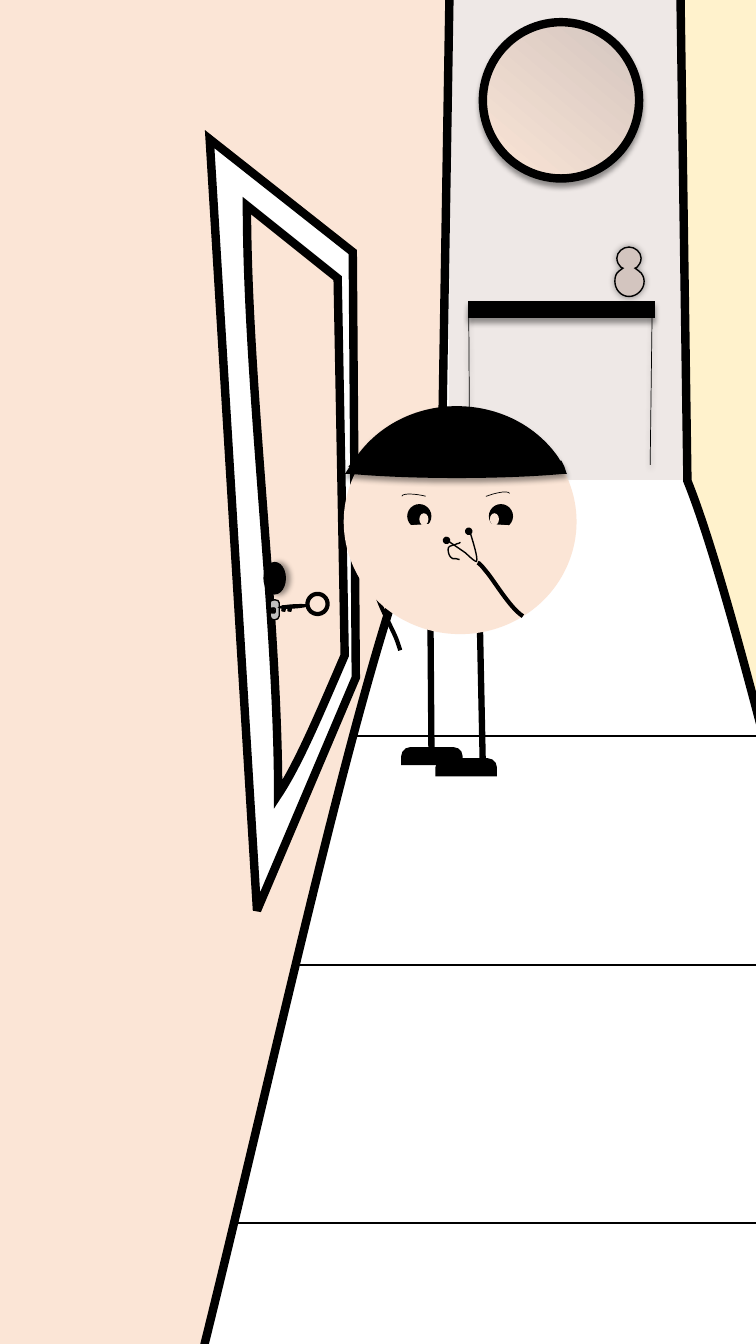
from math import cos, radians, sin

from lxml.etree import SubElement
from pptx import Presentation
from pptx.dml.color import RGBColor
from pptx.enum.shapes import MSO_CONNECTOR, MSO_SHAPE
from pptx.oxml.ns import qn
from pptx.util import Inches, Pt

COLORS = {
    "black": "000000", "white": "FFFFFF", "skin": "FBE5D6", "cream": "FFF2CC",
    "stone": "EEE8E6", "clay": "D3C5BF", "steel": "BFBFBF",
}
CAST = (4, 3, 90)
TAGS = {2: "a:lnTo", 6: "a:cubicBezTo"}


def color(name):
    return RGBColor.from_string(COLORS[name])


def stroke(item, width):
    item.line.color.rgb = color("black")
    item.line.width = Pt(width)
    SubElement(item._element.spPr.find(qn("a:ln")), qn("a:miter"), lim="800000")


def shade(item, shadow):
    effects = SubElement(item._element.spPr, qn("a:effectLst"))
    if shadow:
        blur, dist, angle = shadow
        outer = SubElement(effects, qn("a:outerShdw"), blurRad=str(Pt(blur)),
                           dist=str(Pt(dist)), dir=str(angle * 60000),
                           algn="ctr", rotWithShape="0")
        tint = SubElement(outer, qn("a:srgbClr"), val=COLORS["black"])
        SubElement(tint, qn("a:alpha"), val="40000")


def style(item, fill=None, width=None, shadow=None):
    if fill:
        item.fill.solid()
        item.fill.fore_color.rgb = color(fill)
    else:
        item.fill.background()
    if width:
        stroke(item, width)
    else:
        item.line.fill.background()
    shade(item, shadow)


def form(group, kind, x, y, w, h, turn=0, **look):
    item = group.shapes.add_shape(kind, *map(Inches, (x, y, w, h)))
    item.rotation = turn
    style(item, **look)
    return item


def oval(group, *box, **look):
    return form(group, MSO_SHAPE.OVAL, *box, **look)


def rule(group, x1, y1, x2, y2, width, shadow=None):
    item = group.shapes.add_connector(
        MSO_CONNECTOR.STRAIGHT, *map(Inches, (x1, y1, x2, y2)))
    stroke(item, width)
    shade(item, shadow)


def pairs(step):
    return list(zip(step[0::2], step[1::2]))


def spin(step, turn, x, y):
    c, s = cos(radians(turn)), sin(radians(turn))
    return [value for px, py in pairs(step)
            for value in (x + (px - x) * c + (py - y) * s,
                          y + (py - y) * c - (px - x) * s)]


def trace(steps):
    points = [tuple(steps[0])]
    for step in steps[1:]:
        ends = [points[-1], *pairs(step)]
        if len(step) == 6:
            for n in range(1, 20):
                t = n / 20
                parts = ((1 - t)**3, 3 * t * (1 - t)**2, 3 * t * t * (1 - t), t**3)
                points.append(tuple(sum(p * e[i] for p, e in zip(parts, ends))
                                    for i in (0, 1)))
        points.append(ends[-1])
    return points


def draw(group, *paths, fill=None, turn=0, hub=(0, 0), **look):
    paths = [[[Inches(v) for v in spin(step, turn, *hub)] for step in steps]
             for steps in paths]
    points = [point for steps in paths for point in trace(steps)]
    pen = group.shapes.build_freeform(*points[0], scale=1.0)
    pen.add_line_segments(points[1:], close=False)
    item = pen.convert_to_shape()
    route = next(item._element.iter(qn("a:path")))
    for node in list(route):
        route.remove(node)
    for steps in paths:
        for n, step in enumerate(steps):
            node = SubElement(route, qn(TAGS[len(step)] if n else "a:moveTo"))
            for x, y in pairs(step):
                SubElement(node, qn("a:pt"), x=str(x - item.left), y=str(y - item.top))
        if fill:
            SubElement(route, qn("a:close"))
    item.rotation = turn
    style(item, fill=fill, **look)


def floor(hall):
    for x, y, w in ((1.99, 4.74, 6.79), (1.45, 7.3, 7.51),
                    (1.07, 9.57, 8.65), (0.31, 12.13, 9.75)):
        form(hall, MSO_SHAPE.RECTANGLE, x, y, w, 2.57, fill="white", width=1)


def walls(hall):
    draw(hall, [(4.47, 0), (6.95, 0), (6.95, 4.76), (4.45, 4.76), (4.47, 0)],
         fill="stone")
    draw(hall, [(10.38, -1.41), (6.75, -0.1), (6.82, 4.77),
                (7.64, 6.8, 9.46, 15.83, 10.4, 17.2),
                (10.97, 17.7, 13.27, 11.38, 13.97, 9.71),
                (14.67, 8.04, 13.81, 2.16, 13.84, 0.53),
                (13.96, -1.28, 10.96, -1.11, 10.38, -1.41)],
         fill="cream", width=6)
    draw(hall, [(0.83, -1.41), (4.46, -0.1), (4.38, 4.77),
                (3.44, 6.14, 1.75, 15.83, 0.81, 17.2),
                (0.24, 17.7, -2.06, 11.38, -2.76, 9.71),
                (-3.47, 8.04, -2.61, 2.16, -2.63, 0.53),
                (-2.76, -1.28, 0.25, -1.11, 0.83, -1.41)],
         fill="skin", width=6)


def key(hall, x, y):
    oval(hall, x + 0.28, y, 0.2, 0.2, turn=8.4, width=3)
    oval(hall, x, y + 0.11, 0.28, 0.03, turn=356.3, fill="black", width=1)
    for gap in (0.03, 0.09):
        form(hall, MSO_SHAPE.ROUNDED_RECTANGLE, x + gap, y + 0.12, 0.03, 0.05,
             turn=8.4, fill="black", width=1)


def door(hall):
    key(hall, 2.85, 5.69)
    draw(hall, [(2.08, 1.38), (3.5, 2.5), (3.53, 6.72), (2.55, 9.03), (2.08, 1.38)],
         fill="white", width=6)
    draw(hall, [(2.45, 2.04), (3.35, 2.76), (3.42, 6.5),
                (3.17, 7.08, 2.96, 7.58, 2.76, 7.88),
                (2.76, 6.14, 2.45, 3.79, 2.45, 2.04)],
         fill="skin", width=6)
    oval(hall, 2.62, 5.58, 0.21, 0.31, fill="black", width=1, shadow=(4, 3, 0))
    slot = [(2.71, 6.03), (2.7, 6.03, 2.69, 6.03, 2.69, 6.04), (2.69, 6.07),
            (2.69, 6.08, 2.7, 6.08, 2.71, 6.08), (2.71, 6.08),
            (2.72, 6.08, 2.73, 6.08, 2.73, 6.07), (2.73, 6.04),
            (2.73, 6.03, 2.72, 6.03, 2.71, 6.03)]
    plate = [(2.72, 5.95), (2.73, 5.95), (2.75, 5.95, 2.77, 5.96, 2.77, 5.98),
             (2.77, 6.11), (2.77, 6.13, 2.75, 6.15, 2.72, 6.15),
             (2.7, 6.15, 2.68, 6.13, 2.68, 6.11), (2.68, 5.98),
             (2.68, 5.96, 2.69, 5.95, 2.72, 5.95)]
    draw(hall, slot, plate, fill="steel", width=1)
    key(hall, 2.77, 5.89)


def table(hall):
    form(hall, MSO_SHAPE.RECTANGLE, 4.65, 2.99, 1.84, 0.16,
         fill="black", width=1, shadow=CAST)
    rule(hall, 4.65, 3.07, 4.66, 4.63, 0.5, CAST)
    rule(hall, 6.47, 3.07, 6.45, 4.61, 0.5, CAST)
    glass = oval(hall, 4.79, 0.22, 1.55, 1.55, width=6, shadow=CAST)
    glass.fill.gradient()
    glass.fill.gradient_angle = 230
    for stop, place, name in zip(glass.fill.gradient_stops, (0, 1), ("clay", "skin")):
        stop.position = place
        stop.color.rgb = color(name)
    draw(hall, [(6.24, 2.45), (6.3, 2.45, 6.36, 2.5, 6.36, 2.56),
                (6.36, 2.6, 6.34, 2.63, 6.32, 2.65), (6.3, 2.66), (6.34, 2.69),
                (6.37, 2.71, 6.39, 2.75, 6.39, 2.79),
                (6.39, 2.87, 6.32, 2.94, 6.24, 2.94),
                (6.16, 2.94, 6.1, 2.87, 6.1, 2.79),
                (6.1, 2.75, 6.11, 2.71, 6.14, 2.69), (6.18, 2.66), (6.16, 2.65),
                (6.14, 2.63, 6.12, 2.6, 6.12, 2.56),
                (6.12, 2.5, 6.18, 2.45, 6.24, 2.45)],
         fill="clay", width=1, shadow=(5, 0, 0))


def body(child):
    draw(child, [(4, 5.49), (3.87, 5.56, 3.73, 5.64, 3.72, 5.78),
                 (3.71, 5.93, 3.9, 6.24, 3.94, 6.36),
                 (3.96, 6.42, 3.97, 6.45, 3.97, 6.45)],
         turn=32.1, hub=(3.94, 5.94), width=3)
    rule(child, 4.27, 6.05, 4.28, 7.41, 4.5)
    rule(child, 4.76, 6.15, 4.79, 7.6, 4.5)
    oval(child, 3.41, 4.06, 2.31, 2.23, fill="skin")
    for x, y in ((4.32, 7.52), (3.98, 7.41)):
        shoe = form(child, MSO_SHAPE.ROUND_2_SAME_RECTANGLE, x, y, 0.61, 0.18,
                    fill="black")
        shoe.adjustments[0] = 0.5


def face(child):
    for eye, glint, mid, side in ((4.04, 4.16, 4.17, -1), (4.85, 4.86, 4.94, 1)):
        oval(child, eye, 5, 0.24, 0.24, fill="black")
        oval(child, glint, 5.09, 0.09, 0.12, fill="skin")
        lid = [(0, 5.32), (-0.05, 5.32, -0.09, 5.29, -0.12, 5.25), (-0.14, 5.19),
               (0.15, 5.21), (0.12, 5.26), (0.09, 5.3, 0.04, 5.32, 0, 5.32)]
        draw(child, [[v for x, y in pairs(step) for v in (mid + side * x, y)]
                     for step in lid],
             turn=180 + side * 2.8, hub=(mid, 5.26), fill="skin")
    draw(child, [(4.57, 5.38), (4.57, 5.38, 4.56, 5.38, 4.55, 5.39),
                 (4.55, 5.39, 4.53, 5.39, 4.52, 5.4),
                 (4.5, 5.41, 4.46, 5.41, 4.45, 5.43),
                 (4.44, 5.45, 4.45, 5.49, 4.46, 5.51),
                 (4.46, 5.52, 4.48, 5.53, 4.49, 5.54),
                 (4.51, 5.54, 4.54, 5.54, 4.56, 5.55)],
         turn=7, hub=(4.51, 5.46), width=1)
    brow = form(child, MSO_SHAPE.ARC, 3.98, 4.92, 0.46, 0.11, turn=13.3, width=0.5)
    brow._element.spPr.find(qn("a:xfrm")).set("flipH", "1")
    form(child, MSO_SHAPE.ARC, 4.61, 4.92, 0.46, 0.11, turn=339.4, width=0.5)


def hat(child):
    look = {"fill": "black", "width": 4.5, "shadow": CAST}
    draw(child, [(4.53, 4.57), (4.13, 4.57, 3.77, 4.58, 3.56, 4.6), (3.52, 4.6),
                 (3.5, 4.64), (3.48, 4.67), (3.5, 4.67),
                 (3.7, 4.69, 4.09, 4.71, 4.53, 4.71),
                 (4.98, 4.71, 5.37, 4.69, 5.57, 4.67), (5.58, 4.67), (5.57, 4.64),
                 (5.55, 4.6), (5.51, 4.6), (5.3, 4.58, 4.94, 4.57, 4.53, 4.57)], **look)
    draw(child, [(4.53, 4.06), (4.13, 4.06, 3.77, 4.25, 3.56, 4.55), (3.52, 4.6),
                 (3.56, 4.6), (3.77, 4.58, 4.13, 4.57, 4.53, 4.57),
                 (4.94, 4.57, 5.3, 4.58, 5.51, 4.6), (5.54, 4.6), (5.51, 4.55),
                 (5.3, 4.25, 4.94, 4.06, 4.53, 4.06)], **look)


def arm(child):
    draw(child, [(5.18, 6.11), (5.05, 6.03, 4.89, 5.75, 4.81, 5.66),
                 (4.74, 5.57, 4.73, 5.58, 4.73, 5.58)],
         turn=69.2, hub=(4.96, 5.84), width=3)
    hand = child.shapes.add_group_shape()
    draw(hand, [(4.66, 5.27), (4.7, 5.4, 4.74, 5.53, 4.73, 5.57),
                (4.73, 5.6, 4.62, 5.49, 4.62, 5.49), (4.43, 5.36)],
         turn=46.6, hub=(4.63, 5.41), width=1)
    for x, y in ((4.4, 5.33), (4.62, 5.24)):
        oval(hand, x, y, 0.06, 0.06, turn=46.6, fill="black", width=1)


def main():
    deck = Presentation()
    deck.slide_width, deck.slide_height = Inches(7.5), Inches(13.33)
    slide = deck.slides.add_slide(deck.slide_layouts[6])
    for parts in ((floor, walls, door, table), (body, face, hat, arm)):
        group = slide.shapes.add_group_shape()
        for part in parts:
            part(group)
    deck.save("out.pptx")


if __name__ == "__main__":
    main()
